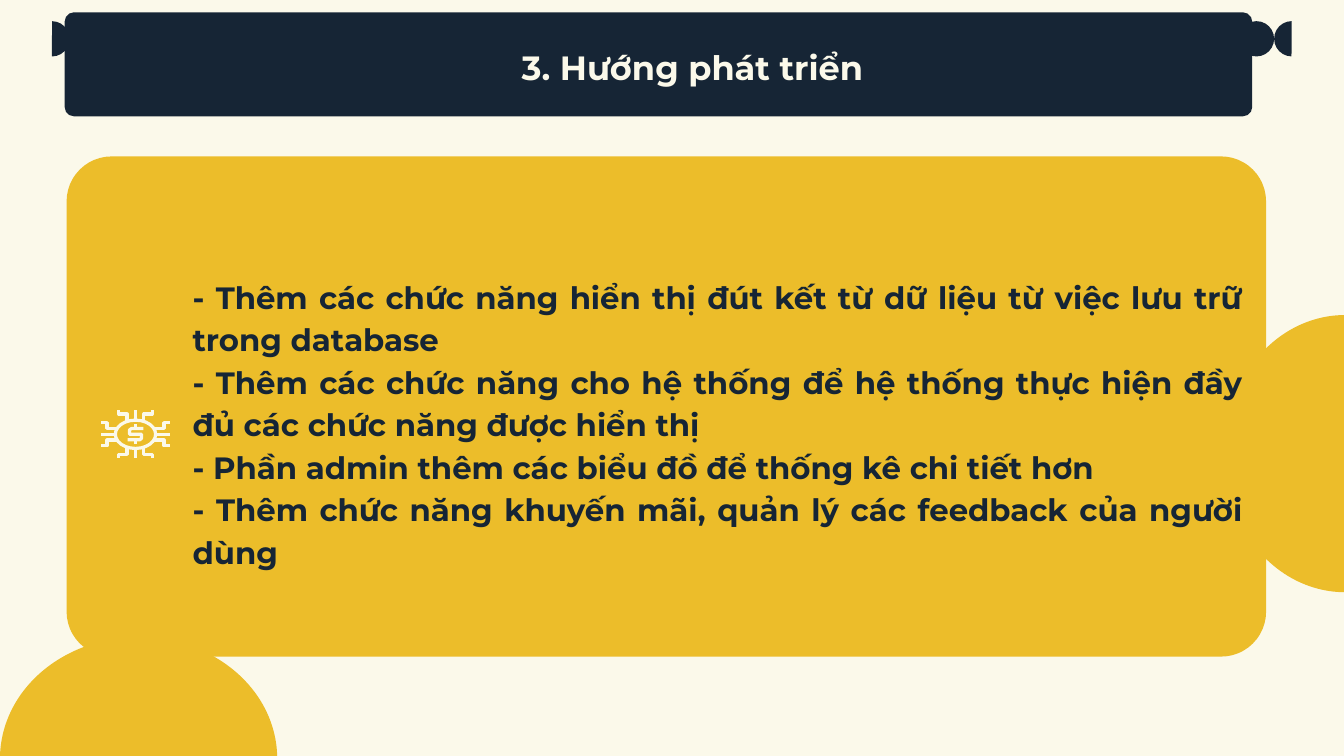
from itertools import product

from pptx import Presentation
from pptx.dml.color import RGBColor
from pptx.enum.shapes import MSO_SHAPE
from pptx.enum.text import MSO_ANCHOR, MSO_AUTO_SIZE, PP_ALIGN
from pptx.util import Pt

FONT = "Montserrat"
CREAM, NAVY, GOLD = "FBF9EA", "162535", "ECBD2A"
ROUNDING = 0.09
ICON_STROKE = 2.3
GOALS = [
    "- Thêm các chức năng hiển thị đút kết từ dữ liệu từ việc lưu trữ trong database",
    "- Thêm các chức năng cho hệ thống để hệ thống thực hiện đầy đủ các chức năng được hiển thị",
    "- Phần admin thêm các biểu đồ để thống kê chi tiết hơn",
    "- Thêm chức năng khuyến mãi, quản lý các feedback của người dùng",
]


def color(value):
    return RGBColor.from_string(value)


def add_filled(slide, kind, left, top, width, height, fill, adjustments=(), rotation=0):
    shape = slide.shapes.add_shape(kind, Pt(left), Pt(top), Pt(width), Pt(height))
    shape.shadow.inherit = False
    shape.fill.solid()
    shape.fill.fore_color.rgb = color(fill)
    shape.line.fill.background()
    shape.rotation = rotation
    for index, adjustment in enumerate(adjustments):
        shape.adjustments[index] = adjustment
    return shape


def add_half_disc(slide, left, top, width, height, fill, start, rotation=0):
    add_filled(slide, MSO_SHAPE.PIE, left, top, width, height, fill, (start, 162), rotation)


def style_frame(frame):
    frame.word_wrap = True
    frame.auto_size = MSO_AUTO_SIZE.NONE
    frame.vertical_anchor = MSO_ANCHOR.MIDDLE
    frame.margin_left = frame.margin_right = frame.margin_top = frame.margin_bottom = 0


def style_paragraph(paragraph, size, fill, alignment):
    paragraph.alignment = alignment
    paragraph.font.name = FONT
    paragraph.font.size = Pt(size)
    paragraph.font.bold = True
    paragraph.font.color.rgb = color(fill)


def add_decoration(slide, width, height):
    disc_width, disc_height = 173.5, 198
    add_half_disc(slide, 12.25, height + 1.8 - disc_height / 2, disc_width, disc_height,
                  GOLD, 53.46, 90)
    add_half_disc(slide, width - 86, 225, disc_width, disc_height, GOLD, 53.46)
    dot, top = 25.2, 15.1
    add_half_disc(slide, 24.5, top, dot, dot, NAVY, 54.58, 180)
    add_half_disc(slide, width - 49.9, top, dot, dot, NAVY, 54.58)
    add_filled(slide, MSO_SHAPE.OVAL, width - 49.9 - dot, top, dot, dot, NAVY)


def add_banner(slide, left, top, width, height):
    add_filled(slide, MSO_SHAPE.ROUNDED_RECTANGLE, left, top, width, height, NAVY, (ROUNDING,))
    title = slide.shapes.title
    title.left, title.top = Pt(left + 74), Pt(top + 10.8)
    title.width, title.height = Pt(748.8), Pt(56.9)
    title.text_frame.text = "3. Hướng phát triển"
    style_frame(title.text_frame)
    style_paragraph(title.text_frame.paragraphs[0], 24, CREAM, PP_ALIGN.CENTER)
    slide.shapes._spTree.append(title._element)


def add_strokes(slide, center_x, center_y, strokes):
    def place(point):
        return Pt(center_x + point[0]), Pt(center_y + point[1])

    builder = slide.shapes.build_freeform(*place(strokes[0][0]))
    for index, stroke in enumerate(strokes):
        if index:
            builder.move_to(*place(stroke[0]))
        builder.add_line_segments([place(point) for point in stroke[1:]], close=False)
    style_outline(builder.convert_to_shape())


def style_outline(shape):
    shape.shadow.inherit = False
    shape.fill.background()
    shape.line.color.rgb = color(CREAM)
    shape.line.width = Pt(ICON_STROKE)


def add_circuit_icon(slide, center_x, center_y):
    radius_x, radius_y = 14.4, 10.1
    eye = slide.shapes.add_shape(MSO_SHAPE.OVAL, Pt(center_x - radius_x), Pt(center_y - radius_y),
                                 Pt(2 * radius_x), Pt(2 * radius_y))
    style_outline(eye)
    hooks = [
        [(6, 9.2), (6, 14.4), (11.9, 14.4), (11.9, 17.2)],
        [(13, 4.2), (20.3, 4.2), (20.3, 8.3), (24.6, 8.3)],
    ]
    traces = [[(x * sign_x, y * sign_y) for x, y in hook]
              for hook in hooks for sign_x, sign_y in product((-1, 1), repeat=2)]
    for sign in (-1, 1):
        traces.append([(0, sign * radius_y), (0, sign * 17.2)])
        traces.append([(sign * radius_x, 0), (sign * 24.6, 0)])
    add_strokes(slide, center_x, center_y, traces)
    dollar = [
        [(5.6, -4), (-3, -4), (-4.3, -3), (-4.3, 0), (4.3, 0), (4.3, 3), (3, 4), (-5.6, 4)],
        [(0, -7.2), (0, -4)],
        [(0, 4), (0, 7.2)],
    ]
    add_strokes(slide, center_x, center_y, dollar)


def add_goals_panel(slide, left, top, width, height):
    add_filled(slide, MSO_SHAPE.ROUNDED_RECTANGLE, left, top, width, height, GOLD, (ROUNDING,))
    box = slide.shapes.add_textbox(Pt(left + 90), Pt(top + 79.5), Pt(750.2), Pt(220))
    frame = box.text_frame
    style_frame(frame)
    for index, goal in enumerate(GOALS):
        paragraph = frame.add_paragraph() if index else frame.paragraphs[0]
        paragraph.text = goal
        paragraph.line_spacing = 1.15
        style_paragraph(paragraph, 22, NAVY, PP_ALIGN.JUSTIFY)
    add_circuit_icon(slide, left + 49.2, top + 198.5)


def main():
    width, height = 960, 540
    presentation = Presentation()
    presentation.slide_width, presentation.slide_height = Pt(width), Pt(height)
    slide = presentation.slides.add_slide(presentation.slide_layouts[5])
    slide.background.fill.solid()
    slide.background.fill.fore_color.rgb = color(CREAM)
    add_decoration(slide, width, height)
    add_banner(slide, 46.2, 8.8, 848.3, 74.3)
    add_goals_panel(slide, 47.6, 111.7, 856.8, 357.3)
    presentation.save("out.pptx")


if __name__ == "__main__":
    main()
